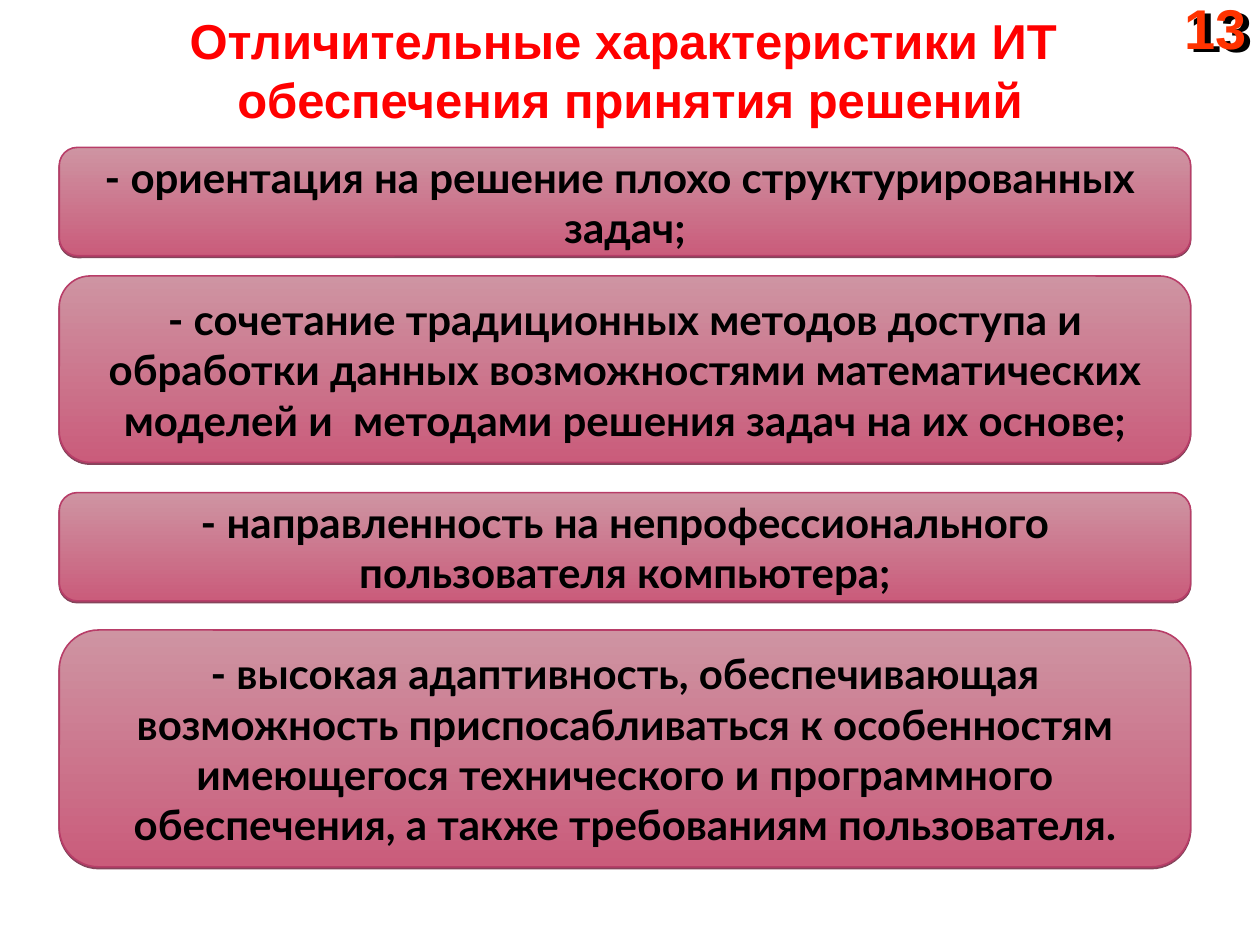
from lxml.etree import SubElement
from pptx import Presentation
from pptx.dml.color import RGBColor
from pptx.enum.shapes import MSO_SHAPE as Shape
from pptx.enum.text import MSO_ANCHOR as Anchor, MSO_AUTO_SIZE as AutoSize, PP_ALIGN as Align
from pptx.oxml.ns import qn
from pptx.util import Inches, Pt

COLORS = {
    "title": "FF0000",
    "number": "FF3300",
    "text": "000000",
    "panel_top": "CE94A2",
    "panel_bottom": "CA5C7B",
    "panel_line": "B83D68",
    "panel_shadow": "6F213C",
    "number_shadow": "000000",
}

PANEL_LEFT, PANEL_WIDTH = 0.47, 8.98

# Top, height and wording of each characteristic
CHARACTERISTICS = [
    (1.17, 0.86, "- ориентация на решение плохо структурированных  задач;"),
    (2.19, 1.48, "- сочетание традиционных методов доступа и обработки данных "
                 "возможностями математических моделей и  методами решения "
                 "задач на их основе;"),
    (3.91, 0.86, "- направленность на непрофессионального пользователя компьютера;"),
    (5, 1.88, "- высокая адаптивность, обеспечивающая возможность "
              "приспосабливаться к особенностям имеющегося технического и "
              "программного обеспечения, а также требованиям пользователя."),
]


def color(name):
    return RGBColor.from_string(COLORS[name])


def add_run(paragraph, text, font, size, color_name):
    run = paragraph.add_run()
    run.text = text
    run.font.name = font
    run.font.size = Pt(size)
    run.font.bold = True
    run.font.color.rgb = color(color_name)


def add_shadow(shape, color_name, distance, degrees, opacity):
    shape.shadow.inherit = False
    effects = shape._element.spPr.find(qn("a:effectLst"))
    outer = SubElement(effects, qn("a:outerShdw"), blurRad="0",
                       dist=str(Pt(distance)), dir=str(degrees * 60000),
                       algn="ctr", rotWithShape="0")
    tint = SubElement(outer, qn("a:srgbClr"), val=COLORS[color_name])
    SubElement(tint, qn("a:alpha"), val=str(opacity * 1000))


def add_title(slide, lines):
    title = slide.shapes.title
    title.left, title.top = Inches(0.5), Inches(0.08)
    title.width, title.height = Inches(9), Inches(0.94)
    frame = title.text_frame
    frame.auto_size = AutoSize.NONE
    frame.vertical_anchor = Anchor.MIDDLE
    heading = frame.paragraphs[0]
    heading.alignment = Align.CENTER
    for index, line in enumerate(lines):
        if index:
            heading.add_line_break()
        add_run(heading, line, "Arial", 28, "title")


def add_page_number(slide, number):
    corner = slide.shapes.add_textbox(Inches(9.3), 0, Inches(0.7), Inches(0.53))
    add_shadow(corner, "number_shadow", 4, 30, 100)
    frame = corner.text_frame
    frame.word_wrap = True
    paragraph = frame.paragraphs[0]
    paragraph.line_spacing = 0.8
    paragraph.space_before = Pt(20)
    add_run(paragraph, number, "Arial", 32, "number")


def add_panel(slide, top, height, text):
    panel = slide.shapes.add_shape(
        Shape.ROUNDED_RECTANGLE, Inches(PANEL_LEFT), Inches(top),
        Inches(PANEL_WIDTH), Inches(height))
    panel.fill.gradient()
    panel.fill.gradient_angle = 270  # counter-clockwise: top to bottom
    for stop, name in zip(panel.fill.gradient_stops, ("panel_top", "panel_bottom")):
        stop.color.rgb = color(name)
    panel.line.color.rgb = color("panel_line")
    panel.line.width = Pt(0.91)
    add_shadow(panel, "panel_shadow", 1, 90, 83)
    frame = panel.text_frame
    frame.word_wrap = True
    frame.vertical_anchor = Anchor.MIDDLE
    frame.paragraphs[0].alignment = Align.CENTER
    add_run(frame.paragraphs[0], text, "Lato", 24, "text")


def main():
    deck = Presentation()
    deck.slide_width, deck.slide_height = Inches(10), Inches(7.5)
    slide = deck.slides.add_slide(deck.slide_layouts[5])

    # Heading and page number
    add_page_number(slide, "13")
    add_title(slide, ["Отличительные характеристики ИТ ", "обеспечения принятия решений"])

    # Characteristics
    for top, height, text in CHARACTERISTICS:
        add_panel(slide, top, height, text)

    deck.save("out.pptx")


if __name__ == "__main__":
    main()
